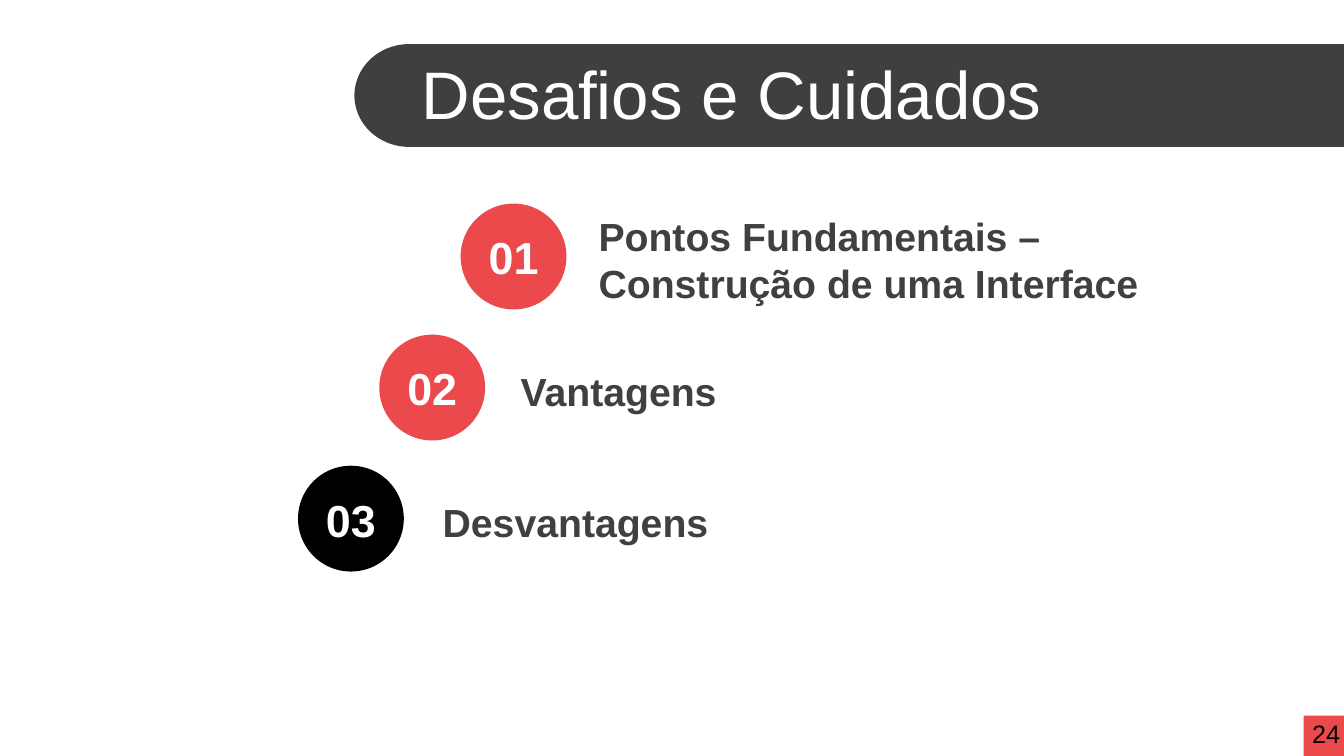
from math import cos, pi, sin

from pptx import Presentation
from pptx.dml.color import RGBColor as Rgb
from pptx.enum.shapes import MSO_SHAPE as Geo
from pptx.enum.text import MSO_ANCHOR as Anchor, PP_ALIGN as Align
from pptx.util import Inches, Pt

COLORS = {"bar": "3F3F3F", "red": "EB494B", "black": "000000",
          "white": "FFFFFF", "label": "404040"}
FORMATS = {
    "title": ({"size": Pt(48), "bold": False}, "white", Align.LEFT, Anchor.MIDDLE),
    "label": ({"size": Pt(28), "bold": True}, "label", Align.LEFT, Anchor.MIDDLE),
    "number": ({"size": Pt(32), "bold": True}, "white", Align.CENTER, Anchor.MIDDLE),
    "page": ({"size": Pt(18), "bold": False}, "black", Align.RIGHT, Anchor.TOP),
}
COLS, ROWS = 40, 30


class Deck:
    """Draws styled elements on a slide, with lengths in grid columns and rows."""

    def __init__(self):
        self.file = Presentation()
        self.file.slide_width = Inches(13.33)
        self.file.slide_height = Inches(7.5)
        self.col = self.file.slide_width / COLS
        self.row = self.file.slide_height / ROWS
        self.shapes = self.file.slides.add_slide(self.file.slide_layouts[6]).shapes

    def place(self, x, y):
        return round(x * self.col), round(y * self.row)

    def paint(self, shape, color):
        shape.shadow.inherit = False
        shape.fill.solid()
        shape.fill.fore_color.rgb = Rgb.from_string(COLORS[color])
        shape.line.fill.background()

    def shape(self, kind, x, y, w, h, color):
        self.paint(self.shapes.add_shape(kind, *self.place(x, y), *self.place(w, h)), color)

    def bar(self, x, y, h, cap, color):
        mid, steps = y + h / 2, 48
        turns = [pi / 2 + pi * i / steps for i in range(steps + 1)]
        curve = [self.place(x + cap + cap * cos(t), mid + h / 2 * sin(t)) for t in turns]
        form = self.shapes.build_freeform(*self.place(COLS, y))
        form.add_line_segments([self.place(COLS, y + h)] + curve, close=True)
        self.paint(form.convert_to_shape(), color)

    def text(self, words, x, y, w, h, style):
        font, color, align, anchor = FORMATS[style]
        frame = self.shapes.add_textbox(*self.place(x, y), *self.place(w, h)).text_frame
        frame.word_wrap = True
        frame.vertical_anchor = anchor
        para = frame.paragraphs[0]
        para.alignment = align
        run = para.add_run()
        run.text = words
        for name, value in {"name": "Arial", **font}.items():
            setattr(run.font, name, value)
        run.font.color.rgb = Rgb.from_string(COLORS[color])


def main():
    deck = Deck()
    deck.bar(10.55, 1.75, 4.08, 1.63, "bar")
    deck.text("Desafios e Cuidados", 12.25, 2, 27.75, 3.36, "title")

    topics = [("Pontos Fundamentais – Construção de uma Interface", "red", 4.16),
              ("Vantagens", "red", 2.28),
              ("Desvantagens", "black", 2.28)]
    wide, high = 3.15, 4.2
    for i, (topic, color, tall) in enumerate(topics):
        x, y = 13.71 - 2.42 * i, 8.08 + 5.2 * i
        mid = y + high / 2
        deck.shape(Geo.OVAL, x, y, wide, high, color)
        deck.text(topic, 17.52 - 2.32 * i, mid + 0.12 - tall / 2, 20.16, tall, "label")
        deck.text(f"{i + 1:02}", x, mid - 1.26, wide, 2.56, "number")

    deck.shape(Geo.RECTANGLE, 38.8, 28.4, 1.2, 1.6, "red")
    deck.text("24", 38.62, 28.32, 1.56, 1.6, "page")
    deck.file.save("out.pptx")


if __name__ == "__main__":
    main()
